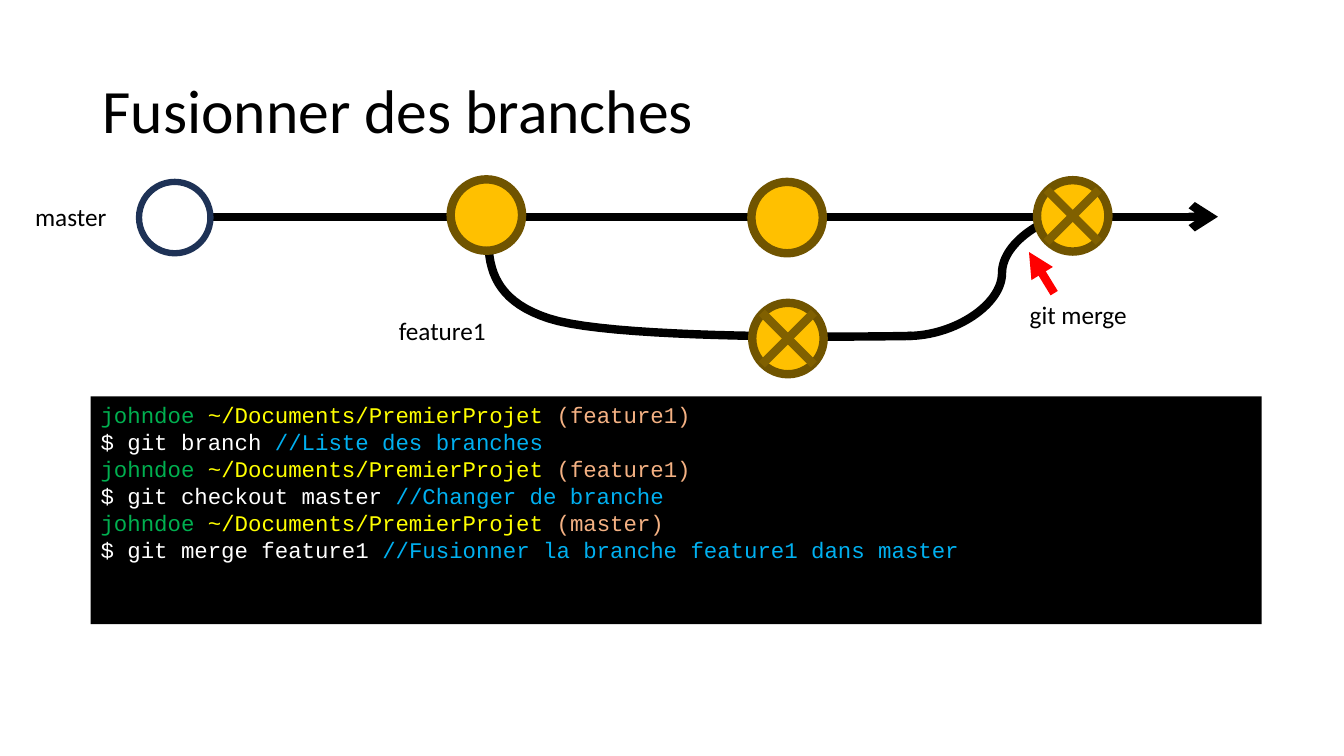
from dataclasses import dataclass

from lxml import etree
from pptx import Presentation, util as u
from pptx.dml.color import RGBColor
from pptx.enum import shapes, text
from pptx.oxml.ns import qn


@dataclass(frozen=True)
class Theme:
    sans: str = "Calibri"
    mono: str = "Courier New"
    title: int = 44
    label: int = 18
    code: int = 16
    thick: float = 6
    thin: float = 4.5
    black: str = "000000"
    white: str = "FFFFFF"
    navy: str = "1E3256"
    gold: str = "FFC000"
    brown: str = "705400"
    cross: str = "806000"
    red: str = "FF0000"
    green: str = "00B050"
    yellow: str = "FFFF00"
    peach: str = "F4B183"
    blue: str = "00B0F0"


class Deck:
    def __init__(self, theme, cols=16, rows=9):
        self.theme = theme
        self.prs = Presentation()
        self.prs.slide_width = u.Inches(13.33)
        self.prs.slide_height = u.Inches(7.5)
        self.cell = self.prs.slide_width / cols, self.prs.slide_height / rows
        self.slide = self.prs.slides.add_slide(self.prs.slide_layouts[5])
        self.items = self.slide.shapes

    def grid(self, *spans):
        return [round(n * self.cell[i % 2]) for i, n in enumerate(spans)]

    def font(self, para, size, name, color=None):
        para.font.size = u.Pt(size)
        para.font.name = name
        if color:
            para.font.color.rgb = RGBColor.from_string(color)

    def stroke(self, line, color, width):
        line.color.rgb = RGBColor.from_string(color)
        line.width = u.Pt(width)

    def title(self, words, box):
        head = self.items.title
        head.left, head.top, head.width, head.height = self.grid(*box)
        frame = head.text_frame
        frame.text = words
        frame.vertical_anchor = text.MSO_ANCHOR.MIDDLE
        para = frame.paragraphs[0]
        para.alignment = text.PP_ALIGN.LEFT
        para.line_spacing = 0.9
        self.font(para, self.theme.title, self.theme.sans, self.theme.black)

    def label(self, words, box):
        frame = self.items.add_textbox(*self.grid(*box)).text_frame
        frame.word_wrap = False
        frame.text = words
        self.font(frame.paragraphs[0], self.theme.label, self.theme.sans, self.theme.black)

    def shape(self, kind, box, fill):
        item = self.items.add_shape(kind, *self.grid(*box))
        item.shadow.inherit = False
        item.fill.solid()
        item.fill.fore_color.rgb = RGBColor.from_string(fill)
        return item

    def console(self, lines, box):
        item = self.shape(shapes.MSO_SHAPE.RECTANGLE, box, self.theme.black)
        item.line.fill.background()
        frame = item.text_frame
        frame.word_wrap = True
        frame.vertical_anchor = text.MSO_ANCHOR.TOP
        for i, line in enumerate(lines):
            para = frame.add_paragraph() if i else frame.paragraphs[0]
            para.alignment = text.PP_ALIGN.LEFT
            self.font(para, self.theme.code, self.theme.mono)
            for words, color in line:
                run = para.add_run()
                run.text = words
                run.font.color.rgb = RGBColor.from_string(color)

    def line(self, start, end, color, tip=None, kind=shapes.MSO_CONNECTOR.STRAIGHT):
        item = self.items.add_connector(kind, *self.grid(*start, *end))
        self.stroke(item.line, color, self.theme.thick)
        props = item.element.spPr
        etree.SubElement(props, qn("a:effectLst"))
        if tip:
            etree.SubElement(props.find(qn("a:ln")), qn("a:tailEnd"), type=tip)

    def curve(self, start, *parts, steps=24):
        points = []
        for a, b, end in parts:
            for i in range(1, steps + 1):
                t = i / steps
                s = 1 - t
                points.append(self.grid(*(
                    s**3 * p + 3 * s * s * t * q + 3 * s * t * t * r + t**3 * e
                    for p, q, r, e in zip(start, a, b, end))))
            start, first = end, start if len(points) == steps else first
        path = self.items.build_freeform(*self.grid(*first))
        path.add_line_segments(points, close=False)
        item = path.convert_to_shape()
        item.shadow.inherit = False
        item.fill.background()
        self.stroke(item.line, self.theme.black, self.theme.thick)

    def commit(self, x, y, fill, edge, width, size=0.85):
        box = x - size / 2, y - size / 2, size, size
        item = self.shape(shapes.MSO_SHAPE.OVAL, box, fill)
        self.stroke(item.line, edge, width)

    def gold(self, x, y, crossed=False, arm=0.31):
        self.commit(x, y, self.theme.gold, self.theme.brown, self.theme.thick)
        if crossed:
            for side in (-arm, arm):
                self.line((x + side, y - arm), (x - side, y + arm), self.theme.cross)


def main():
    theme = Theme()
    deck = Deck(theme)
    deck.title("Fusionner des branches", (1.1, 0.48, 13.8, 1.74))

    steps = [
        ("feature1", "branch", "Liste des branches"),
        ("feature1", "checkout master", "Changer de branche"),
        ("master", "merge feature1", "Fusionner la branche feature1 dans master"),
    ]
    lines = []
    for branch, command, note in steps:
        lines.append([("johndoe ", theme.green),
                      ("~/Documents/PremierProjet ", theme.yellow),
                      (f"({branch})", theme.peach)])
        lines.append([(f"$ git {command} ", theme.white), (f"//{note}", theme.blue)])
    deck.console(lines, (1.08, 4.72, 13.94, 2.71))

    deck.curve((5.87, 2.34),
               ((5.78, 2.93), (5.7, 3.52), (6.53, 3.79)),
               ((7.36, 4.07), (10.85, 4), (10.85, 4)))
    deck.line((2.05, 2.58), (14.5, 2.58), theme.black, "arrow")
    deck.line((10.8, 4), (13.06, 2.5), theme.black, kind=shapes.MSO_CONNECTOR.CURVE)

    deck.commit(2.08, 2.59, theme.white, theme.navy, theme.thin)
    deck.gold(5.79, 2.56)
    deck.gold(9.37, 2.59)
    deck.gold(9.38, 4.03, crossed=True)
    deck.gold(12.77, 2.57, crossed=True)

    deck.label("master", (0.3, 2.34, 1.1, 0.48))
    deck.label("feature1", (4.63, 3.7, 1.28, 0.48))
    deck.label("git merge", (12.14, 3.5, 1.42, 0.48))
    deck.line((12.55, 3.49), (12.25, 3), theme.red, "triangle")
    deck.prs.save("out.pptx")


if __name__ == "__main__":
    main()
